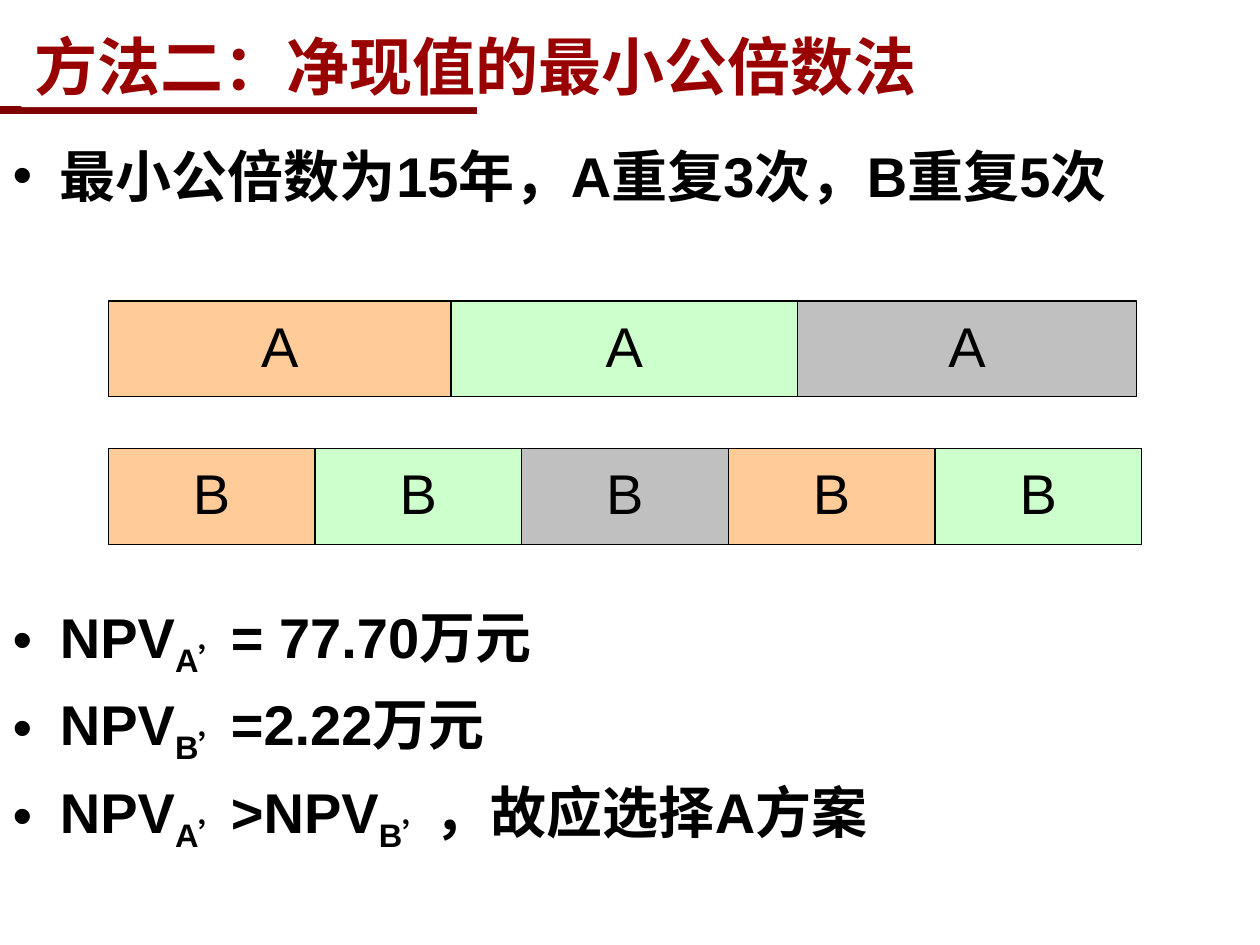
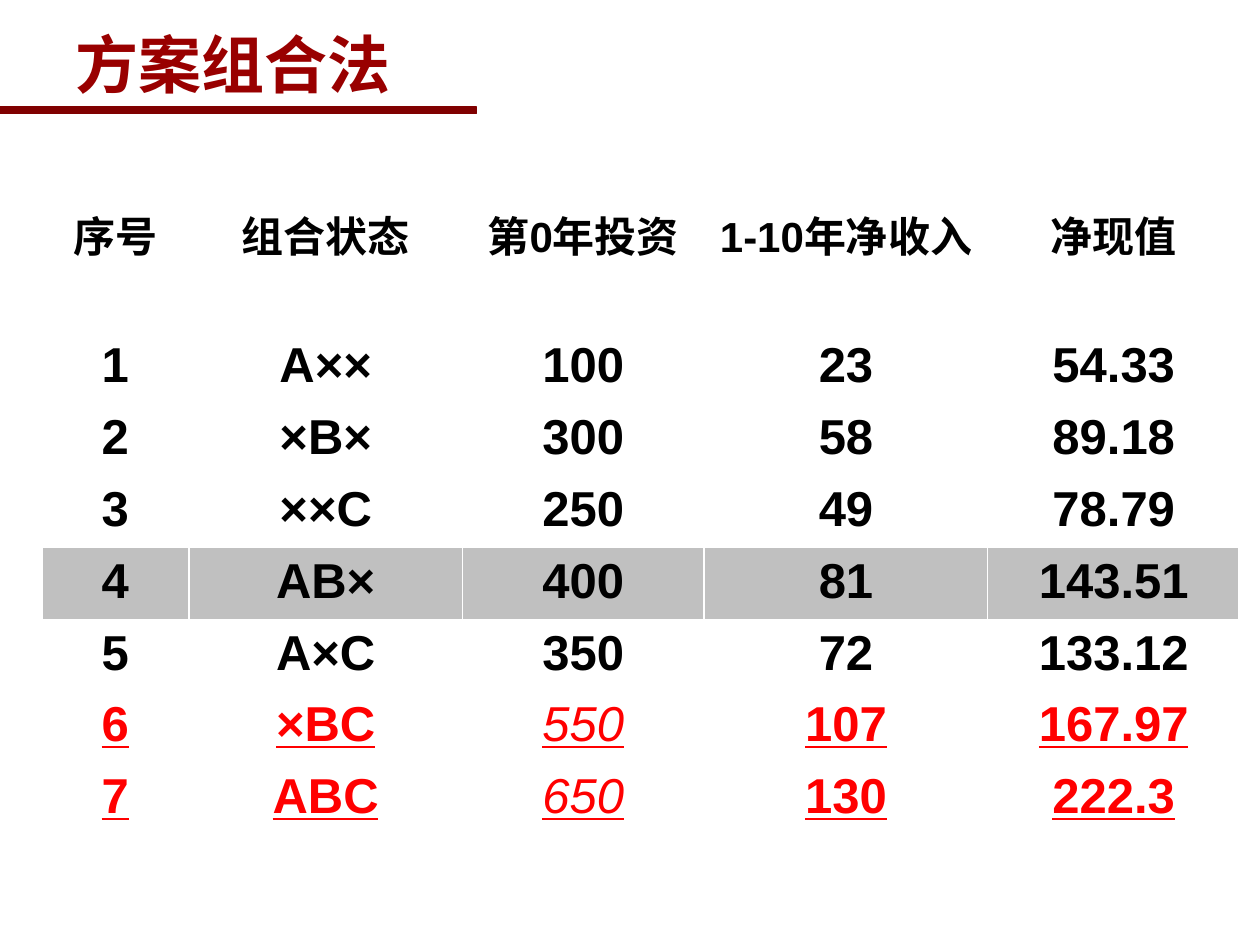
import itertools

import lxml.etree
import pptx
import pptx.dml.color
import pptx.enum.shapes
import pptx.enum.text
import pptx.oxml.ns
import pptx.util

Inches = pptx.util.Inches
Pt = pptx.util.Pt
CENTER = pptx.enum.text.PP_ALIGN.CENTER
MIDDLE = pptx.enum.text.MSO_ANCHOR.MIDDLE

FONT = "Arial"
WHITE, BLACK, GREY = "FFFFFF", "000000", "C0C0C0"
TITLE_RED, BAND_RED, ALERT_RED = "990000", "800000", "FF0000"
PERIOD_COLORS = ("FFCC99", "CCFFCC", GREY)

# Each conclusion is a list of (text, is_subscript) fragments.
CONCLUSIONS = [
    [("NPV", False), ("A’", True), ("= 77.70万元", False)],
    [("NPV", False), ("B’", True), ("=2.22万元", False)],
    [("NPV", False), ("A’", True), (">NPV", False), ("B’", True),
     ("，故应选择A方案", False)],
]

COMBINATIONS = [
    ("序号", "组合状态", "第0年投资", "1-10年净收入", "净现值"),
    ("1", "A××", "100", "23", "54.33"),
    ("2", "×B×", "300", "58", "89.18"),
    ("3", "××C", "250", "49", "78.79"),
    ("4", "AB×", "400", "81", "143.51"),
    ("5", "A×C", "350", "72", "133.12"),
    ("6", "×BC", "550", "107", "167.97"),
    ("7", "ABC", "650", "130", "222.3"),
]
COLUMN_WIDTHS = (1.17, 2.17, 1.92, 2.25, 2)
BEST_ROW = 4
OVER_BUDGET_ROWS = (6, 7)
INVESTMENT_COLUMN = 2


def rgb(color):
    return pptx.dml.color.RGBColor.from_string(color)


def paint(fill, color):
    fill.solid()
    fill.fore_color.rgb = rgb(color)


def style_font(font, size, color=BLACK, bold=True):
    font.name = FONT
    font.size = Pt(size)
    font.bold = bold
    font.color.rgb = rgb(color)


def place(shape, left, top, width, height):
    shape.left, shape.top = Inches(left), Inches(top)
    shape.width, shape.height = Inches(width), Inches(height)


def add_rect(slide, left, top, width, height, color, outline):
    rect = slide.shapes.add_shape(
        pptx.enum.shapes.MSO_SHAPE.RECTANGLE,
        Inches(left), Inches(top), Inches(width), Inches(height))
    rect.shadow.inherit = False
    paint(rect.fill, color)
    rect.line.color.rgb = rgb(outline)
    rect.line.width = Pt(0.75)
    return rect


def add_master_band(prs, slide):
    """Draw the title underline and move it to the master, behind every slide."""
    band = add_rect(slide, -0.01, 0.85, 3.79, 0.05, BAND_RED, BAND_RED)
    prs.slide_master.shapes._spTree.append(band._element)


def set_title(slide, text, *box):
    title = slide.shapes.title
    place(title, *box)
    frame = title.text_frame
    frame.text = text
    frame.word_wrap = True
    frame.auto_size = pptx.enum.text.MSO_AUTO_SIZE.NONE
    frame.vertical_anchor = MIDDLE
    heading = frame.paragraphs[0]
    heading.alignment = pptx.enum.text.PP_ALIGN.LEFT
    style_font(heading.runs[0].font, 36, TITLE_RED)
    return title


def add_conclusion(frame, fragments):
    conclusion = frame.add_paragraph()
    for text, is_subscript in fragments:
        run = conclusion.add_run()
        run.text = text
        style_font(run.font, 32)
        if is_subscript:
            run._r.get_or_add_rPr().set("baseline", "-25000")
    return conclusion


def fill_body(slide):
    body = slide.placeholders[1]
    place(body, 0, 1.07, 10, 6.43)
    frame = body.text_frame
    frame.auto_size = pptx.enum.text.MSO_AUTO_SIZE.NONE
    frame.text = "最小公倍数为15年，A重复3次，B重复5次"
    premise = frame.paragraphs[0]
    premise.space_before = Pt(0)
    style_font(premise.runs[0].font, 32)
    conclusions = [add_conclusion(frame, parts) for parts in CONCLUSIONS]
    conclusions[0].space_before = Pt(225)  # room for the two timelines


def add_timeline(slide, plan, top, widths):
    """Lay the repeated lives of one plan end to end."""
    left = 0.86
    for width, color in zip(widths, itertools.cycle(PERIOD_COLORS)):
        period = add_rect(slide, left, top, width, 0.76, color, BLACK)
        frame = period.text_frame
        frame.text = plan
        frame.word_wrap = False
        frame.vertical_anchor = MIDDLE
        label = frame.paragraphs[0]
        label.alignment = CENTER
        label.line_spacing = 0.9
        style_font(label.runs[0].font, 32, bold=False)
        left += width


def set_borders(cell, outer_sides):
    """White borders, heavier on the sides that lie on the table's edge."""
    qn = pptx.oxml.ns.qn
    properties = cell._tc.get_or_add_tcPr()
    for side in "LRTB":
        width = Pt(2.25 if side in outer_sides else 1)
        line = lxml.etree.SubElement(properties, qn(f"a:ln{side}"), w=str(width))
        solid = lxml.etree.SubElement(line, qn("a:solidFill"))
        lxml.etree.SubElement(solid, qn("a:srgbClr"), val=WHITE)


def fill_cell(cell, text, row, column):
    cell.text = text
    entry = cell.text_frame.paragraphs[0]
    entry.alignment = CENTER
    over_budget = row in OVER_BUDGET_ROWS
    exceeds = over_budget and column == INVESTMENT_COLUMN
    font = entry.runs[0].font
    style_font(font, 28 if row else 24,
               ALERT_RED if over_budget else BLACK, bold=not exceeds)
    font.underline = over_budget
    font.italic = exceeds

    edges = {"L": column == 0, "R": column == len(COLUMN_WIDTHS) - 1,
             "T": row == 0, "B": row == len(COMBINATIONS) - 1}
    set_borders(cell, [side for side, on_edge in edges.items() if on_edge])
    if row == BEST_ROW:
        paint(cell.fill, GREY)
    else:
        cell.fill.background()


def add_combination_table(slide):
    table = slide.shapes.add_table(
        len(COMBINATIONS), len(COLUMN_WIDTHS),
        Inches(0.33), Inches(1.57), Inches(9.5), Inches(4.5)).table
    table.first_row = table.horz_banding = False
    for column, width in zip(table.columns, COLUMN_WIDTHS):
        column.width = Inches(width)
    for row, values in enumerate(COMBINATIONS):
        table.rows[row].height = Inches(0.57 if row else 0.51)
        for column, text in enumerate(values):
            fill_cell(table.cell(row, column), text, row, column)


def main():
    prs = pptx.Presentation()
    prs.slide_width, prs.slide_height = Inches(10), Inches(7.5)

    multiple = prs.slides.add_slide(prs.slide_layouts.get_by_name("Title and Content"))
    add_master_band(prs, multiple)
    title = set_title(multiple, "方法二：净现值的最小公倍数法", 0.17, 0.18, 8.94, 0.67)
    paint(title.fill, WHITE)
    fill_body(multiple)
    add_timeline(multiple, "A", 2.39, (2.72, 2.75, 2.69))
    add_timeline(multiple, "B", 3.56, [1.64] * 5)

    combination = prs.slides.add_slide(prs.slide_layouts.get_by_name("Title Only"))
    set_title(combination, "方案组合法", 0.5, 0.25, 8.5, 0.5)
    add_combination_table(combination)

    prs.save("out.pptx")


if __name__ == "__main__":
    main()
